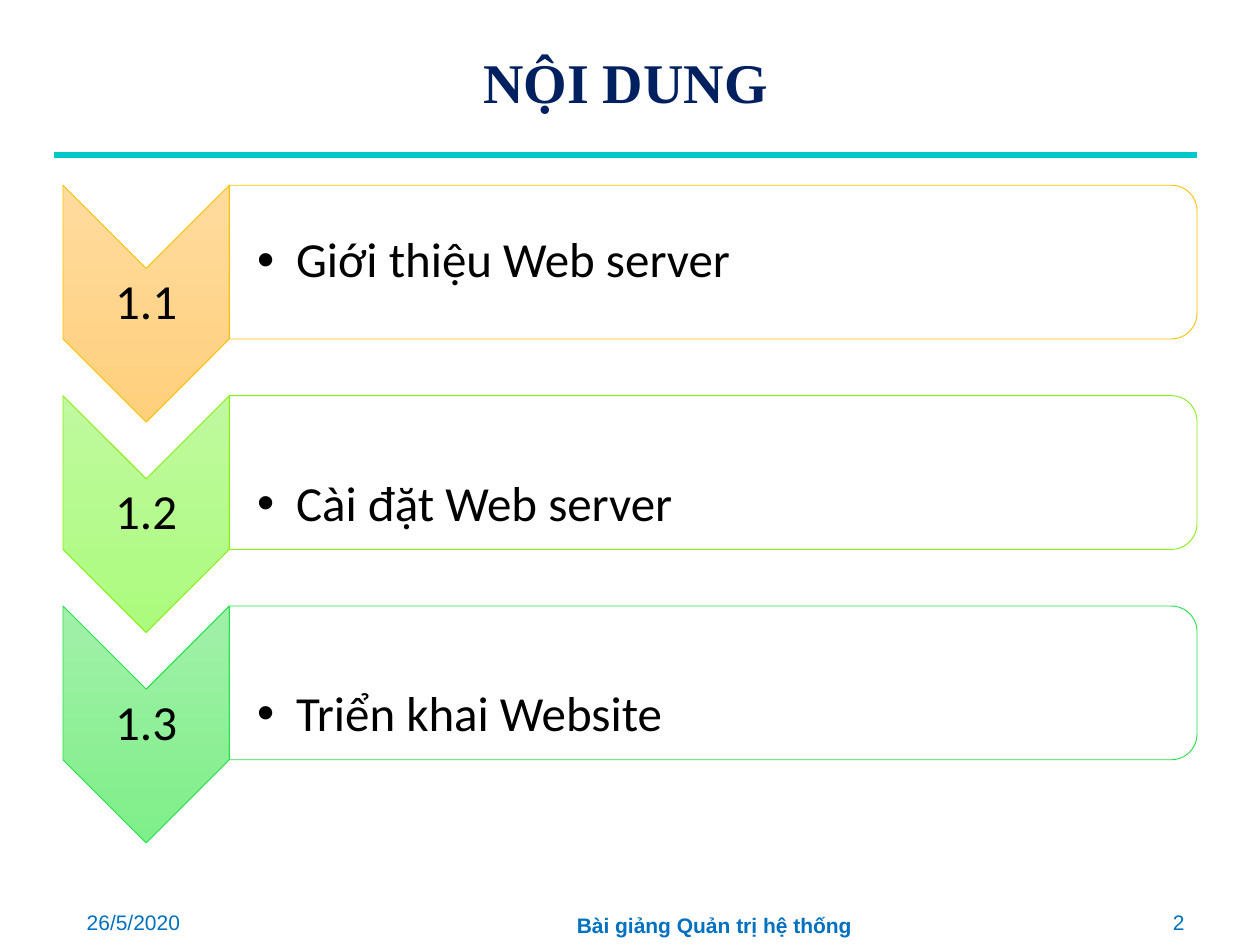
from lxml import etree
from pptx import Presentation
from pptx.dml.color import RGBColor
from pptx.enum.shapes import MSO_CONNECTOR, MSO_SHAPE
from pptx.enum.text import MSO_ANCHOR, PP_ALIGN
from pptx.oxml.ns import qn
from pptx.util import Inches, Pt

CHEVRON, PANEL = MSO_SHAPE.CHEVRON, MSO_SHAPE.ROUND_2_SAME_RECTANGLE
STRAIGHT = MSO_CONNECTOR.STRAIGHT
MIDDLE = MSO_ANCHOR.MIDDLE
LEFT, CENTER, RIGHT = PP_ALIGN.LEFT, PP_ALIGN.CENTER, PP_ALIGN.RIGHT

COLORS = {"title": "002060", "rule": "00C8C8", "text": "000000",
          "footer": "0070C0", "panel": "FFFFFF"}
TOPICS = [
    ("1.1", "Giới thiệu Web server", "FFDB9E", "FFD07C", "FFC000", 0.02),
    ("1.2", "Cài đặt Web server", "C0F99F", "ABFB7D", "86F011", 0.54),
    ("1.3", "Triển khai Website", "A1F0A9", "7FEF89", "23E148", 0.54),
]
FOOTERS = [
    (0.59, 1.47, 0.28, "26/5/2020", LEFT, False),
    (2.56, 6.22, 0.32, "Bài giảng Quản trị hệ thống", CENTER, True),
    (8.94, 0.56, 0.28, "2", RIGHT, False),
]


def rgb(value):
    """Return a colour from its hex string."""
    return RGBColor.from_string(value)


def write(sp, text, size, font, color, align, bold=False):
    """Write one formatted, vertically centred paragraph and return it."""
    tf = sp.text_frame
    tf.word_wrap = True
    tf.vertical_anchor = MIDDLE
    p = tf.paragraphs[0]
    p.alignment = align
    r = p.add_run()
    r.text = text
    r.font.size, r.font.name, r.font.bold = Pt(size), font, bold
    r.font.color.rgb = rgb(color)
    return p


def add_textbox(s, x, y, w, h):
    """Add a text box measured in inches."""
    return s.shapes.add_textbox(Inches(x), Inches(y), Inches(w), Inches(h))


def set_insets(tf, left, top):
    """Set the left and top insets, keeping the others narrow."""
    tf.margin_left, tf.margin_top = Inches(left), Inches(top)
    tf.margin_right = tf.margin_bottom = Inches(0.02)


def add_turned(s, kind, x, y, w, h, line):
    """Add a shape turned by 90 degrees that covers the given box."""
    sp = s.shapes.add_shape(kind, Inches(x + (w - h) / 2),
                            Inches(y + (h - w) / 2), Inches(h), Inches(w))
    sp.rotation = 90
    sp.shadow.inherit = False
    sp.line.color.rgb = rgb(line)
    sp.line.width = Pt(0.5)
    return sp


def add_bullet(p):
    """Give a paragraph a round bullet with a hanging indent."""
    pPr = p._p.get_or_add_pPr()
    pPr.set("marL", str(Inches(0.31)))
    pPr.set("indent", str(-Inches(0.31)))
    etree.SubElement(pPr, qn("a:buFont")).set("typeface", "Arial")
    etree.SubElement(pPr, qn("a:buChar")).set("char", "•")


def add_header(s, x, y, w, h):
    """Place the title and the rule under it."""
    title = s.shapes.title
    title.left, title.top = Inches(x), Inches(y)
    title.width, title.height = Inches(w), Inches(h)
    write(title, "NỘI DUNG", 32, "Times New Roman", COLORS["title"], CENTER, True)
    rule = s.shapes.add_connector(STRAIGHT, Inches(x), Inches(y + h),
                                  Inches(x + w), Inches(y + h))
    rule.line.color.rgb = rgb(COLORS["rule"])
    rule.line.width = Pt(3.5)
    etree.SubElement(rule._element.spPr, qn("a:effectLst"))


def add_topic(s, x, y, w, topic):
    """Place a numbered chevron and its panel."""
    number, text, light, dark, line, top_inset = topic
    chevron_w, panel_h = 1.32, 1.22
    chevron = add_turned(s, CHEVRON, x, y, chevron_w, 1.88, line)
    chevron.fill.gradient()
    chevron.fill.gradient_angle = 0
    for stop, color in zip(chevron.fill.gradient_stops, (light, dark)):
        stop.color.rgb = rgb(color)
    label = add_textbox(s, x, y + 0.66, chevron_w, 0.56)
    set_insets(label.text_frame, 0.02, 0.02)
    write(label, number, 28, "Calibri", COLORS["text"], CENTER).line_spacing = 0.9

    panel_x, panel_w = x + chevron_w, w - chevron_w
    panel = add_turned(s, PANEL, panel_x, y, panel_w, panel_h, line)
    panel.fill.solid()
    panel.fill.fore_color.rgb = rgb(COLORS["panel"])
    body = add_textbox(s, panel_x, y + 0.06, panel_w - 0.06, 1.1)
    set_insets(body.text_frame, 0.22, top_inset)
    p = write(body, text, 28, "Calibri", COLORS["text"], LEFT)
    p.line_spacing = 0.9
    add_bullet(p)


def add_topics(s, x, y, w, pitch):
    """Stack the topics at an equal pitch."""
    for i, topic in enumerate(TOPICS):
        add_topic(s, x, y + i * pitch, w, topic)


def add_footer(s, y):
    """Place the date, the course name and the page number."""
    for x, w, h, text, align, bold in FOOTERS:
        sp = add_textbox(s, x, y, w, h)
        write(sp, text, 12, "Arial", COLORS["footer"], align, bold)


def main():
    """Build and save the slide."""
    prs = Presentation()
    prs.slide_width, prs.slide_height = Inches(10), Inches(7.5)
    s = prs.slides.add_slide(prs.slide_layouts[5])
    add_header(s, 0.43, 0.05, 9.07, 1.18)
    add_topics(s, 0.5, 1.47, 9, 1.67)
    add_footer(s, 7.18)
    prs.save("out.pptx")


if __name__ == "__main__":
    main()
